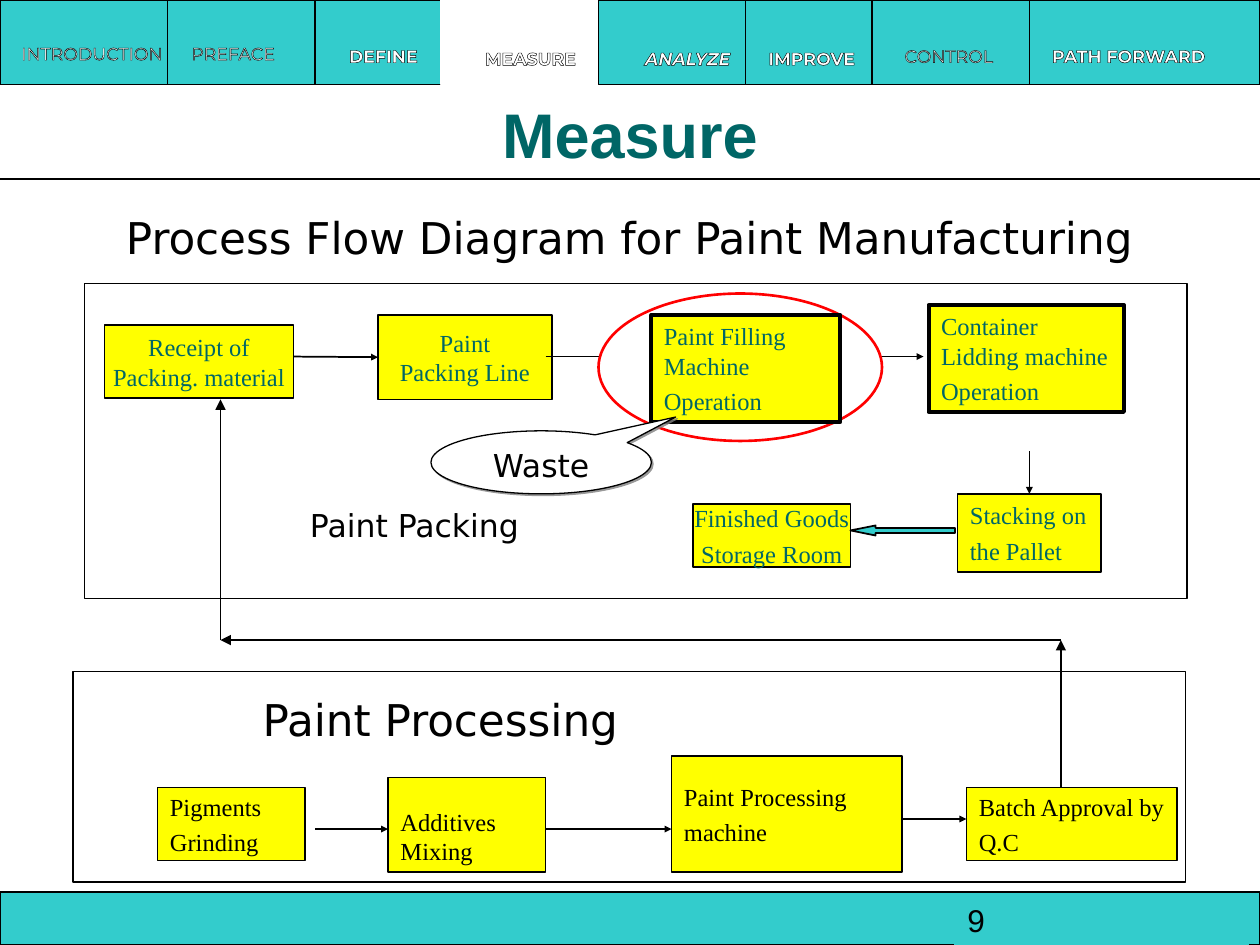
from dataclasses import dataclass

from lxml import etree
from pptx import Presentation
from pptx.dml.color import RGBColor
from pptx.enum.shapes import MSO_CONNECTOR, MSO_SHAPE
from pptx.enum.text import MSO_ANCHOR, MSO_AUTO_SIZE, PP_ALIGN
from pptx.oxml import parse_xml
from pptx.oxml.ns import nsdecls, qn
from pptx.util import Inches, Pt

RECT, STEP, OVAL = MSO_SHAPE.RECTANGLE, MSO_SHAPE.FLOWCHART_PROCESS, MSO_SHAPE.OVAL
ARROW, BUBBLE = MSO_SHAPE.LEFT_ARROW, MSO_SHAPE.OVAL_CALLOUT
STRAIGHT = MSO_CONNECTOR.STRAIGHT
TOP, MID, LOW = MSO_ANCHOR.TOP, MSO_ANCHOR.MIDDLE, MSO_ANCHOR.BOTTOM
LEFT, CENTER = PP_ALIGN.LEFT, PP_ALIGN.CENTER


@dataclass(frozen=True)
class Theme:
    teal: str = "33CCCC"
    deep: str = "006666"
    black: str = "000000"
    white: str = "FFFFFF"
    yellow: str = "FFFF00"
    red: str = "FF0000"
    gray: str = "808080"
    sans: str = "Arial"
    plain: str = "DejaVu Sans"
    serif: str = "Times New Roman"
    tab: str = "Montserrat"
    title: int = 36
    head: int = 25
    label: int = 18
    step: int = 14
    nav: int = 10
    thin: float = 0.75
    line: float = 1
    edge: float = 1.5
    thick: float = 2.25


T = Theme()


def rgb(code):
    return RGBColor.from_string(code)


def write(frame, lines, font, size, color, align=LEFT, anchor=TOP, wrap=True,
          gap=0, bold=False, slant=False, space=None):
    frame.auto_size = MSO_AUTO_SIZE.NONE
    frame.word_wrap = wrap
    frame.vertical_anchor = anchor
    for i, line in enumerate(lines):
        para = frame.add_paragraph() if i else frame.paragraphs[0]
        para.alignment = align
        para.space_before = Pt(gap if i else 0)
        if space:
            para.line_spacing = space
        run = para.add_run()
        run.text = line
        run.font.name, run.font.size = font, Pt(size)
        run.font.bold, run.font.italic = bold, slant
        run.font.color.rgb = rgb(color)


def place(shape, box):
    shape.left, shape.top, shape.width, shape.height = map(Inches, box)


def add_box(slide, box, fill, line=T.black, width=T.thin, kind=RECT):
    shape = slide.shapes.add_shape(kind, *map(Inches, box))
    shape.shadow.inherit = False
    shape.fill.solid()
    shape.fill.fore_color.rgb = rgb(fill)
    shape.line.color.rgb = rgb(line)
    shape.line.width = Pt(width)
    return shape


def add_step(slide, box, lines, color, kind=STEP, width=T.line, **style):
    shape = add_box(slide, box, T.yellow, width=width, kind=kind)
    style = {"anchor": MID, "wrap": False, "gap": 3.5} | style
    write(shape.text_frame, lines, T.serif, T.step, color, **style)
    return shape


def add_line(slide, start, end, width=T.line, head="sm"):
    link = slide.shapes.add_connector(STRAIGHT, *map(Inches, start + end))
    link.line.color.rgb = rgb(T.black)
    link.line.width = Pt(width)
    if head:
        etree.SubElement(link.line._get_or_add_ln(), qn("a:tailEnd"),
                         type="triangle", w=head, len=head)
    etree.SubElement(link._element.spPr, qn("a:effectLst"))
    return link


def add_text(slide, box, line, font, size, color, **style):
    shape = slide.shapes.add_textbox(*map(Inches, box))
    write(shape.text_frame, [line], font, size, color, **style)
    return shape


def add_tab(slide, box, word, bold, slant=False):
    shape = add_text(slide, box, word, T.tab, T.nav, T.white,
                     wrap=False, bold=bold, slant=slant)
    props = shape.text_frame.paragraphs[0].runs[0].font._element
    props.insert(0, parse_xml(
        f'<a:ln {nsdecls("a")} w="9525"><a:solidFill>'
        f'<a:srgbClr val="{T.black}"/></a:solidFill></a:ln>'))


def add_nav(slide):
    add_box(slide, (0, 0, 10, 0.67), T.teal)
    add_box(slide, (3.5, 0, 1.25, 0.67), T.white, T.white)
    for x, w in ((1.33, 1.17), (4.75, 1.17), (6.92, 1.25)):
        add_box(slide, (x, 0, w, 0.67), T.teal)
    for x, y, w, h, word, *look in (
        (0.07, 0.29, 1.18, 0.21, "INTRODUCTION", False),
        (1.42, 0.29, 0.95, 0.21, "PREFACE", False),
        (2.67, 0.31, 0.61, 0.19, "DEFINE", True),
        (3.75, 0.33, 0.73, 0.19, "MEASURE", True),
        (5.02, 0.33, 0.73, 0.19, "ANALYZE", True, True),
        (6, 0.33, 0.73, 0.17, "IMPROVE", True),
        (7.08, 0.31, 0.75, 0.19, "CONTROL", False),
        (8.25, 0.31, 1.71, 0.19, "PATH FORWARD", True),
    ):
        add_tab(slide, (x, y, w, h), word, *look)


def add_heads(slide):
    title, body = slide.shapes.title, slide.placeholders[1]
    place(title, (0, 0.83, 10, 0.58))
    write(title.text_frame, ["Measure"], T.sans, T.title, T.deep,
          CENTER, LOW, bold=True)
    place(body, (0.58, 1.67, 8.83, 0.5))
    props = body.text_frame.paragraphs[0]._p.get_or_add_pPr()
    props.set("marL", "0")
    props.set("indent", "0")
    etree.SubElement(props, qn("a:buNone"))
    write(body.text_frame, ["Process Flow Diagram for Paint Manufacturing"],
          T.plain, T.head, T.black, CENTER, space=0.9)
    add_line(slide, (0, 1.42), (10, 1.42), T.thin, None)


def add_callout(slide):
    shape = add_box(slide, (3.42, 3.42, 1.75, 0.5), T.white, kind=BUBBLE)
    shape.adjustments[0], shape.adjustments[1] = 0.61, -0.72
    write(shape.text_frame, ["Waste"], T.plain, T.label, T.black, CENTER)
    cast = etree.SubElement(shape._element.spPr.find(qn("a:effectLst")),
                            qn("a:outerShdw"), dist=str(Pt(1.4)),
                            dir="2700000", algn="ctr", rotWithShape="0")
    tint = etree.SubElement(cast, qn("a:srgbClr"), val=T.gray)
    etree.SubElement(tint, qn("a:alpha"), val="80000")


def add_packing(slide):
    add_step(slide, (0.83, 2.58, 1.5, 0.58),
             ["Receipt of", "Packing. material"], T.deep, align=CENTER, gap=0)
    line = add_step(slide, (3, 2.5, 1.38, 0.67),
                    ["Paint", "Packing Line"], T.deep, align=CENTER, gap=0)
    stack = add_step(slide, (7.6, 3.92, 1.14, 0.62),
                     ["Stacking on", "the Pallet"], T.deep, RECT, anchor=TOP)
    add_step(slide, (5.5, 4, 1.25, 0.5),
             ["Finished Goods", "Storage Room"], T.deep, RECT, align=CENTER)
    add_line(slide, (2.33, 2.83), (3, 2.83)).end_connect(line, 1)
    add_line(slide, (4.33, 2.83), (5.17, 2.83))
    add_line(slide, (6.67, 2.83), (7.33, 2.83))
    add_line(slide, (8.17, 3.58), (8.17, 3.92)).end_connect(stack, 0)
    arrow = add_box(slide, (6.75, 4.17, 0.83, 0.08), T.teal, width=T.line, kind=ARROW)
    arrow.adjustments[0], arrow.adjustments[1] = 0.5, 2.5
    add_box(slide, (4.75, 2.33, 2.25, 1.17), T.white, T.red, T.edge, OVAL)
    for box, words in (((5.17, 2.5, 1.5, 0.85), "Paint Filling Machine"),
                       ((7.37, 2.42, 1.55, 0.85), "Container Lidding machine")):
        add_step(slide, box, [words, "Operation"], T.deep, RECT, T.thick,
                 anchor=TOP, wrap=True)
    add_text(slide, (2, 4, 2.58, 0.5), "Paint Packing", T.plain, T.label,
             T.black, align=CENTER, space=0.9)
    add_callout(slide)


def add_mixing(slide):
    add_text(slide, (1.83, 5.5, 3.33, 0.5), "Paint Processing", T.plain, T.head,
             T.black, align=CENTER, space=0.9)
    add_step(slide, (1.25, 6.25, 1.17, 0.58), ["Pigments", "Grinding"], T.black)
    add_step(slide, (3.08, 6.17, 1.25, 0.75), ["Additives Mixing"], T.black,
             anchor=LOW, wrap=True)
    add_step(slide, (5.33, 6, 1.83, 0.92), ["Paint Processing", "machine"], T.black)
    add_step(slide, (7.67, 6.25, 1.67, 0.58), ["Batch Approval by", "Q.C"], T.black, RECT)
    for x, end, y in ((2.5, 3.08, 6.58), (4.33, 5.33, 6.58), (7.17, 7.67, 6.5)):
        add_line(slide, (x, y), (end, y))


def add_route(slide):
    stops = (8.42, 6.25), (8.42, 5.08), (1.75, 5.08), (1.75, 3.17)
    for start, end in zip(stops, stops[1:]):
        add_line(slide, start, end, T.thin, "med")


def add_foot(slide):
    add_box(slide, (0, 7.08, 10, 0.42), T.teal)
    page = add_box(slide, (7.58, 7.17, 2.33, 0.33), T.teal, T.teal)
    write(page.text_frame, ["9"], T.sans, T.label, T.black, anchor=LOW)


def main():
    deck = Presentation()
    deck.slide_width, deck.slide_height = Inches(10), Inches(7.5)
    slide = deck.slides.add_slide(deck.slide_layouts[1])
    add_nav(slide)
    add_heads(slide)
    for box in ((0.58, 5.33, 8.83, 1.67), (0.67, 2.25, 8.75, 2.5)):
        add_box(slide, box, T.white)
    add_packing(slide)
    add_mixing(slide)
    add_route(slide)
    add_foot(slide)
    deck.save("out.pptx")


if __name__ == "__main__":
    main()
